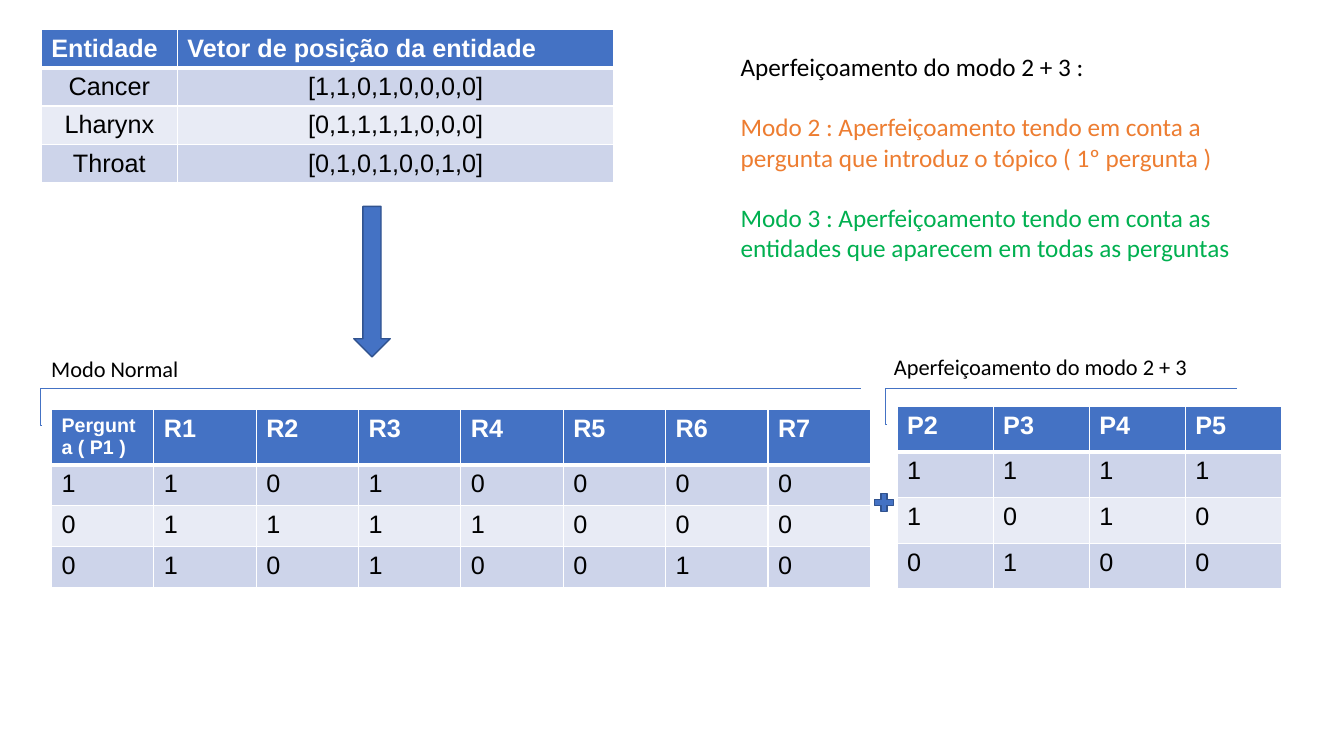
from lxml import etree
from pptx import Presentation
from pptx.dml.color import RGBColor
from pptx.enum.shapes import MSO_CONNECTOR, MSO_SHAPE
from pptx.enum.text import MSO_AUTO_SIZE, PP_ALIGN
from pptx.oxml.ns import qn
from pptx.util import Pt

ELBOW = MSO_CONNECTOR.ELBOW
DOWN_ARROW, PLUS = MSO_SHAPE.DOWN_ARROW, MSO_SHAPE.MATH_PLUS
FIT_SHAPE = MSO_AUTO_SIZE.SHAPE_TO_FIT_TEXT
LEFT, CENTER = PP_ALIGN.LEFT, PP_ALIGN.CENTER

BLUE, DARK_BLUE, WHITE, BLACK = "4472C4", "31538F", "FFFFFF", "000000"
ORANGE, GREEN = "ED7D31", "00B050"
BANDS = ("CDD4EA", "E8EBF5")


def rgb(color):
    return RGBColor.from_string(color)


def style_font(paragraph, name, size, color, bold=False):
    font = paragraph.font
    font.name, font.size, font.bold = name, Pt(size), bold
    font.color.rgb = rgb(color)


def add_borders(cell, row):
    """White cell borders, thicker between the header and the body."""
    widths = {"lnL": 1, "lnR": 1, "lnT": 3 if row == 1 else 1, "lnB": 3 if row == 0 else 1}
    properties = cell._tc.get_or_add_tcPr()
    for index, (side, width) in enumerate(widths.items()):
        line = etree.Element(qn(f"a:{side}"), w=str(Pt(width)))
        fill = etree.SubElement(line, qn("a:solidFill"))
        etree.SubElement(fill, qn("a:srgbClr"), val=WHITE)
        properties.insert(index, line)


def add_banded_table(page, box, rows, column_widths, row_heights, body_align=LEFT, first_size=18):
    left, top = box
    frame = page.shapes.add_table(len(rows), len(column_widths), Pt(left), Pt(top),
                                  Pt(sum(column_widths)), Pt(sum(row_heights)))
    table = frame.table
    for column, width in zip(table.columns, column_widths):
        column.width = Pt(width)
    for row, (values, height) in enumerate(zip(rows, row_heights)):
        table.rows[row].height = Pt(height)
        header = row == 0
        for column, value in enumerate(values):
            cell = table.cell(row, column)
            cell.text = value
            cell.fill.solid()
            cell.fill.fore_color.rgb = rgb(BLUE if header else BANDS[(row - 1) % 2])
            add_borders(cell, row)
            para = cell.text_frame.paragraphs[0]
            para.alignment = LEFT if header else body_align
            size = first_size if header and column == 0 else 18
            style_font(para, "Arial", size, WHITE if header else BLACK, header)


def add_text(page, box, lines, size, gap=0):
    shape = page.shapes.add_textbox(*map(Pt, box))
    frame = shape.text_frame
    frame.word_wrap = True
    frame.auto_size = FIT_SHAPE
    for index, (text, color) in enumerate(lines):
        para = frame.paragraphs[0] if index == 0 else frame.add_paragraph()
        para.text = text
        para.space_before = Pt(gap if index else 0)
        style_font(para, "Calibri", size, color)


def add_bracket(page, box, bend):
    """Elbow line: up the left side, then along the top."""
    left, top, width, height = box
    line = page.shapes.add_connector(ELBOW, Pt(left), Pt(top + height), Pt(left + width), Pt(top))
    line.line.color.rgb = rgb(BLUE)
    line.line.width = Pt(0.75)
    properties = line._element.spPr
    guides = properties.find(qn("a:prstGeom")).find(qn("a:avLst"))
    etree.SubElement(guides, qn("a:gd"), name="adj1", fmla=f"val {bend}")
    etree.SubElement(properties, qn("a:effectLst"))


def add_symbol(page, kind, box):
    shape = page.shapes.add_shape(kind, *map(Pt, box))
    shape.shadow.inherit = False
    shape.fill.solid()
    shape.fill.fore_color.rgb = rgb(BLUE)
    shape.line.color.rgb = rgb(DARK_BLUE)
    shape.line.width = Pt(1)


def add_entities(page, box):
    rows = [("Entidade", "Vetor de posição da entidade"),
            ("Cancer", "[1,1,0,1,0,0,0,0]"),
            ("Lharynx", "[0,1,1,1,1,0,0,0]"),
            ("Throat", "[0,1,0,1,0,0,1,0]")]
    left, top = box
    add_banded_table(page, box, rows, [97.2, 311.8], [27.4] * 4, CENTER)
    # Arrow down to the vectors
    add_symbol(page, DOWN_ARROW, (left + 223.2, top + 126.5, 26, 107.5))


def add_normal_mode(page, box):
    left, top = box
    rows = [["Pergunta ( P1 )"] + [f"R{number}" for number in range(1, 8)],
            "11010000", "01111000", "01010010"]
    add_bracket(page, (left, top + 26.9, 585.5, 26.9), -125)
    add_banded_table(page, (left + 7.3, top + 42.3), rows, [73.12] * 8,
                     [39.4] + [29.2] * 3, first_size=14)
    add_text(page, (left, top, 131.8, 26.6), [("Modo Normal", BLACK)], 16)


def add_improved_mode(page, box):
    left, top = box
    rows = [["P2", "P3", "P4", "P5"], "1111", "1010", "0100"]
    add_bracket(page, (left + 2, top + 29.2, 250.4, 25.7), -400)
    add_banded_table(page, (left + 9.3, top + 41.9), rows, [68.6] * 4, [32.6] * 4)
    # Plus sign joining both matrices
    add_symbol(page, PLUS, (left - 9.4, top + 101.5, 18.7, 18))
    add_text(page, (left, top, 292.3, 26.6), [("Aperfeiçoamento do modo 2 + 3", BLACK)], 16)


def add_explanation(page, box):
    lines = [("Aperfeiçoamento do modo 2 + 3 :", BLACK),
             ("Modo 2 : Aperfeiçoamento tendo em conta a pergunta que introduz "
              "o tópico ( 1º pergunta )", ORANGE),
             ("Modo 3 : Aperfeiçoamento tendo em conta as entidades que aparecem "
              "em todas as perguntas", GREEN)]
    add_text(page, box, lines, 18, gap=21.6)


def main():
    deck = Presentation()
    deck.slide_width, deck.slide_height = Pt(960), Pt(540)
    page = deck.slides.add_slide(deck.slide_layouts[6])
    add_entities(page, (29.5, 21))
    add_normal_mode(page, (29.5, 250.4))
    add_improved_mode(page, (631.5, 248.4))
    add_explanation(page, (522, 33.1, 401, 160))
    deck.save("out.pptx")


if __name__ == "__main__":
    main()
